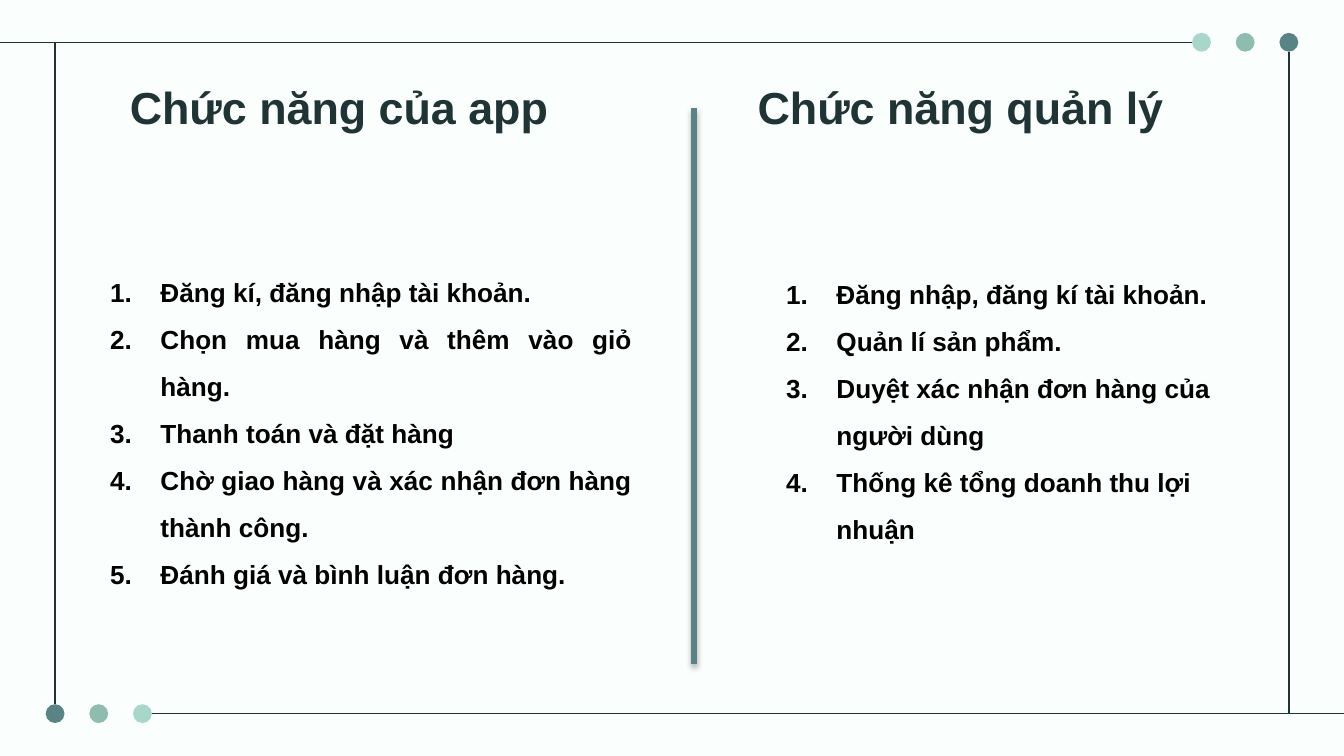
import pptx
import pptx.dml.color
import pptx.enum.shapes
import pptx.enum.text
import pptx.oxml
import pptx.oxml.ns
import pptx.util

PX = 4572  # EMU per px, 200 px to the inch
SLIDE_WIDTH, SLIDE_HEIGHT = 2000, 1125
ALIGN = pptx.enum.text.PP_ALIGN
DARK, TEAL, SAGE, MINT = "213435", "598385", "8EBDAF", "A8D7C9"
DOT_SIZE, DOT_STEP = 28, 65
LIST_INDENT = 75

APP_FUNCTIONS = [
    "Đăng kí, đăng nhập tài khoản.",
    "Chọn mua hàng và thêm vào giỏ hàng.",
    "Thanh toán và đặt hàng",
    "Chờ giao hàng và xác nhận đơn hàng thành công.",
    "Đánh giá và bình luận đơn hàng.",
]
ADMIN_FUNCTIONS = [
    "Đăng nhập, đăng kí tài khoản.",
    "Quản lí sản phẩm.",
    "Duyệt xác nhận đơn hàng của người dùng",
    "Thống kê tổng doanh thu lợi nhuận",
]


def color(value):
    return pptx.dml.color.RGBColor.from_string(value)


def emu(*lengths):
    return [pptx.util.Emu(length * PX) for length in lengths]


def set_attributes(target, values):
    for name, value in values.items():
        setattr(target, name, value)


def add_line(slide, start, end, line_color=DARK, width=0.75, shadow=""):
    connector = slide.shapes.add_connector(
        pptx.enum.shapes.MSO_CONNECTOR.STRAIGHT, *emu(*start, *end))
    connector.line.color.rgb = color(line_color)
    connector.line.width = pptx.util.Pt(width)
    namespace = pptx.oxml.ns.nsdecls("a")
    connector._element.spPr.append(pptx.oxml.parse_xml(
        f"<a:effectLst {namespace}>{shadow}</a:effectLst>"))


def add_dots(slide, left, top, colors):
    for index, fill in enumerate(colors):
        dot = slide.shapes.add_shape(
            pptx.enum.shapes.MSO_SHAPE.OVAL,
            *emu(left + index * DOT_STEP, top, DOT_SIZE, DOT_SIZE))
        dot.shadow.inherit = False
        dot.fill.solid()
        dot.fill.fore_color.rgb = color(fill)
        dot.line.fill.background()


def add_frame(slide, left, top, right, bottom):
    radius = DOT_SIZE // 2
    dots_span = 2 * DOT_STEP + radius
    # Vertical sides
    add_line(slide, (left, bottom - radius), (left, top))
    add_line(slide, (right, top + radius), (right, bottom))
    # Horizontal sides reach the slide edges
    add_line(slide, (right - dots_span, top), (0, top))
    add_line(slide, (left + dots_span, bottom), (SLIDE_WIDTH, bottom))
    # Dots at opposite corners
    add_dots(slide, left - radius, bottom - radius, [TEAL, SAGE, MINT])
    add_dots(slide, right - dots_span, top - radius, [MINT, SAGE, TEAL])


def add_text_box(slide, box, margins):
    frame = slide.shapes.add_textbox(*emu(*box)).text_frame
    sides = ("margin_left", "margin_top", "margin_right", "margin_bottom")
    set_attributes(frame, {
        "word_wrap": True,
        "vertical_anchor": pptx.enum.text.MSO_ANCHOR.TOP,
        **dict(zip(sides, emu(*margins)))})
    return frame


def write(paragraph, text, size, text_color, alignment):
    paragraph.text = text
    paragraph.alignment = alignment
    set_attributes(paragraph.runs[0].font, {
        "name": "Arial", "size": pptx.util.Pt(size), "bold": True})
    paragraph.runs[0].font.color.rgb = color(text_color)


def add_title(slide, box, text):
    # The wider right margin sets the title slightly left of centre
    frame = add_text_box(slide, box, (20, 20, 57, 20))
    write(frame.paragraphs[0], text, 24, DARK, ALIGN.CENTER)


def add_numbered_list(slide, box, items, alignment):
    frame = add_text_box(slide, box, (20, 10, 20, 10))
    for index, item in enumerate(items):
        paragraph = frame.add_paragraph() if index else frame.paragraphs[0]
        write(paragraph, item, 14, "000000", alignment)
        paragraph.line_spacing = 1.5
        properties = paragraph._p.get_or_add_pPr()
        properties.set("marL", str(LIST_INDENT * PX))
        properties.set("indent", str(-LIST_INDENT * PX))
        for element in ('buFont {} typeface="+mj-lt"',
                        'buAutoNum {} type="arabicPeriod"'):
            properties.append(pptx.oxml.parse_xml(
                "<a:" + element.format(pptx.oxml.ns.nsdecls("a")) + "/>"))


def add_divider(slide, x, top, bottom):
    shadow = ('<a:outerShdw blurRad="40000" dist="23000" dir="5400000" '
              'rotWithShape="0"><a:srgbClr val="000000">'
              '<a:alpha val="35000"/></a:srgbClr></a:outerShdw>')
    add_line(slide, (x, bottom), (x, top), TEAL, 3, shadow)


def main():
    presentation = pptx.Presentation()
    presentation.slide_width, presentation.slide_height = emu(
        SLIDE_WIDTH, SLIDE_HEIGHT)
    slide = presentation.slides.add_slide(presentation.slide_layouts[6])
    slide.background.fill.solid()
    slide.background.fill.fore_color.rgb = color("FAFFFE")

    add_frame(slide, 82, 63, 1918, 1062)

    # Left column: app functions
    add_title(slide, (158, 98, 730, 126), "Chức năng của app")
    add_numbered_list(slide, (144, 378, 816, 506), APP_FUNCTIONS,
                      ALIGN.JUSTIFY)

    # Right column: management functions
    add_title(slide, (1072, 98, 752, 126), "Chức năng quản lý")
    add_numbered_list(slide, (1150, 381, 704, 436), ADMIN_FUNCTIONS,
                      ALIGN.LEFT)

    add_divider(slide, 1033, 160, 988)
    presentation.save("out.pptx")


if __name__ == "__main__":
    main()
